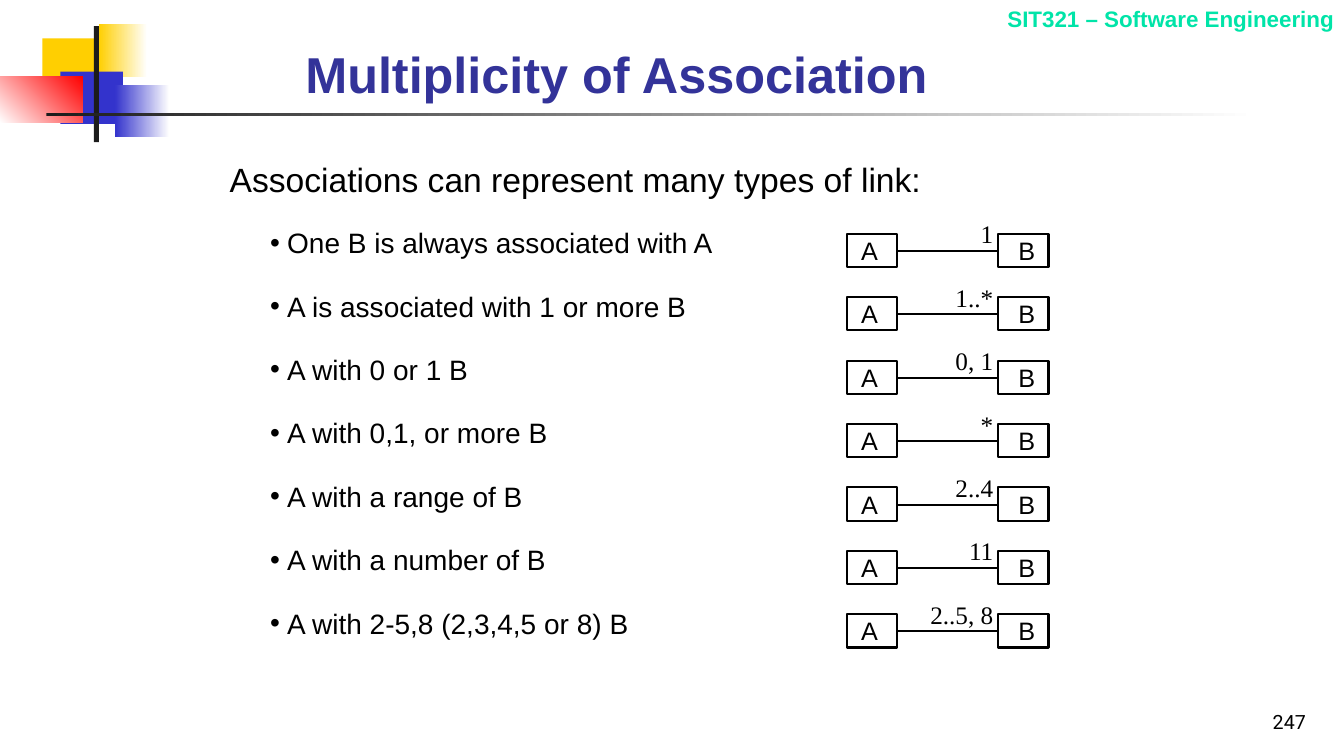
from lxml import etree
from pptx import Presentation
from pptx.dml.color import RGBColor
from pptx.enum.shapes import MSO_CONNECTOR, MSO_SHAPE
from pptx.enum.text import MSO_ANCHOR, PP_ALIGN
from pptx.oxml.ns import qn
from pptx.util import Inches, Pt

RECTANGLE = MSO_SHAPE.RECTANGLE
STRAIGHT = MSO_CONNECTOR.STRAIGHT
TOP, MIDDLE, BOTTOM = MSO_ANCHOR.TOP, MSO_ANCHOR.MIDDLE, MSO_ANCHOR.BOTTOM
LEFT, RIGHT = PP_ALIGN.LEFT, PP_ALIGN.RIGHT

COLORS = {
    "black": "000000", "white": "FFFFFF", "charcoal": "1C1C1C", "yellow": "FFCF01",
    "blue": "3333CC", "red": "FF0000", "title": "333399", "course": "00E4A8",
}
CELL = 0.1

DECORATIONS = [
    ((4.2, 3.8, 6.4, 5.2), ["yellow"], 0),
    ((9.8, 2.4, 4.8, 5.2), ["yellow", "white"], 0),
    ((6, 7.1, 6.2, 5.2), ["blue"], 0),
    ((11.4, 8.4, 5.4, 5.2), ["blue", "white"], 0),
    ((0, 7.6, 8.2, 4.6), ["white", "red"], 45),
    ((9.3, 2.6, 0.5, 11.5), ["charcoal"], 0),
    ((4.6, 11.2, 120, 0.3), ["charcoal", "white"], 0),
]
MULTIPLICITIES = [
    ("One B is always associated with A", "1"),
    ("A is associated with 1 or more B", "1..*"),
    ("A with 0 or 1 B", "0, 1"),
    ("A with 0,1, or more B", "*"),
    ("A with a range of B", "2..4"),
    ("A with a number of B", "11"),
    ("A with 2-5,8 (2,3,4,5 or 8) B", "2..5, 8"),
]
FIRST_ROW, ROW_PITCH = 23.2, 6.29


class SlideBuilder:
    """Draws styled elements on a slide measured in grid columns and rows."""

    def __init__(self, slide):
        """Keep the slide to draw on."""
        self.slide = slide

    def grid(self, *cells):
        """Convert grid columns and rows to lengths."""
        return [Inches(cell * CELL) for cell in cells]

    def color(self, name):
        """Return a named colour."""
        return RGBColor.from_string(COLORS[name])

    def add_words(self, shape, text, size, font="Arial", color="black", bold=False,
                  align=LEFT, anchor=TOP):
        """Add one styled run to a shape."""
        frame = shape.text_frame
        frame.word_wrap = True
        frame.vertical_anchor = anchor
        paragraph = frame.paragraphs[0]
        paragraph.alignment = align
        run = paragraph.add_run()
        run.text = text
        run.font.name = font
        run.font.size = Pt(size)
        run.font.bold = bold
        run.font.color.rgb = self.color(color)

    def text_box(self, box, text, size, **style):
        """Add a text box."""
        shape = self.slide.shapes.add_textbox(*self.grid(*box))
        self.add_words(shape, text, size, **style)
        return shape

    def bullet(self, box, text, size):
        """Add a text box with one bulleted paragraph."""
        shape = self.text_box(box, text, size)
        properties = shape.text_frame.paragraphs[0]._p.get_or_add_pPr()
        indent = Inches(0.17)
        properties.set("marL", str(indent))
        properties.set("indent", str(-indent))
        etree.SubElement(properties, qn("a:buFont")).set("typeface", "Arial")
        etree.SubElement(properties, qn("a:buChar")).set("char", "•")

    def rectangle(self, box):
        """Add a plain rectangle without fill or line."""
        shape = self.slide.shapes.add_shape(RECTANGLE, *self.grid(*box))
        shape.shadow.inherit = False
        shape.fill.background()
        shape.line.fill.background()
        return shape

    def decoration(self, box, names, angle):
        """Add a rectangle filled with one colour or a gradient."""
        fill = self.rectangle(box).fill
        if len(names) == 1:
            fill.solid()
            fill.fore_color.rgb = self.color(names[0])
            return
        fill.gradient()
        fill.gradient_angle = angle
        for stop, name in zip(fill.gradient_stops, names):
            stop.color.rgb = self.color(name)

    def outline(self, line):
        """Style a line in black."""
        line.color.rgb = self.color("black")
        line.width = Pt(1.5)

    def class_box(self, column, row, name, inset):
        """Add an outlined class box with its name."""
        shape = self.rectangle((column, row, 5, 3.3))
        self.outline(shape.line)
        frame = shape.text_frame
        frame.margin_left = Inches(inset)
        frame.margin_right = frame.margin_top = frame.margin_bottom = 0
        self.add_words(shape, name, 18, anchor=MIDDLE)

    def connector(self, start, end):
        """Add a straight association line."""
        line = self.slide.shapes.add_connector(STRAIGHT, *self.grid(*start, *end))
        self.outline(line.line)
        etree.SubElement(line._element.spPr, qn("a:effectLst"))

    def association(self, row, description, multiplicity):
        """Add one described association between A and B."""
        self.bullet((25.8, row - 1.3, 49, 4.3), description, 20)
        self.class_box(84, row, "A", 0.14)
        self.class_box(99, row, "B", 0.2)
        self.connector((89, row + 1.7), (99, row + 1.7))
        self.text_box((90.5, row - 2, 9, 4), multiplicity, 18,
                      font="Times New Roman", align=RIGHT)


def main():
    """Build and save the slide."""
    presentation = Presentation()
    presentation.slide_width = Inches(13.33)
    presentation.slide_height = Inches(7.5)
    builder = SlideBuilder(presentation.slides.add_slide(presentation.slide_layouts[6]))
    for box, names, angle in DECORATIONS:
        builder.decoration(box, names, angle)
    builder.text_box((80.3, 0, 53, 3.7), "SIT321 – Software Engineering", 16,
                     color="course", bold=True, align=RIGHT)
    builder.text_box((102.7, 68.3, 27.8, 5), "247", 14, font="Roboto",
                     align=RIGHT, anchor=BOTTOM)
    builder.text_box((29.3, 2.3, 85.2, 8.5), "Multiplicity of Association", 36,
                     color="title", bold=True, anchor=BOTTOM)
    builder.text_box((21.8, 15.3, 73.2, 5.9),
                     "Associations can represent many types of link:", 24)
    for index, (description, multiplicity) in enumerate(MULTIPLICITIES):
        builder.association(FIRST_ROW + index * ROW_PITCH, description, multiplicity)
    presentation.save("out.pptx")


if __name__ == "__main__":
    main()
